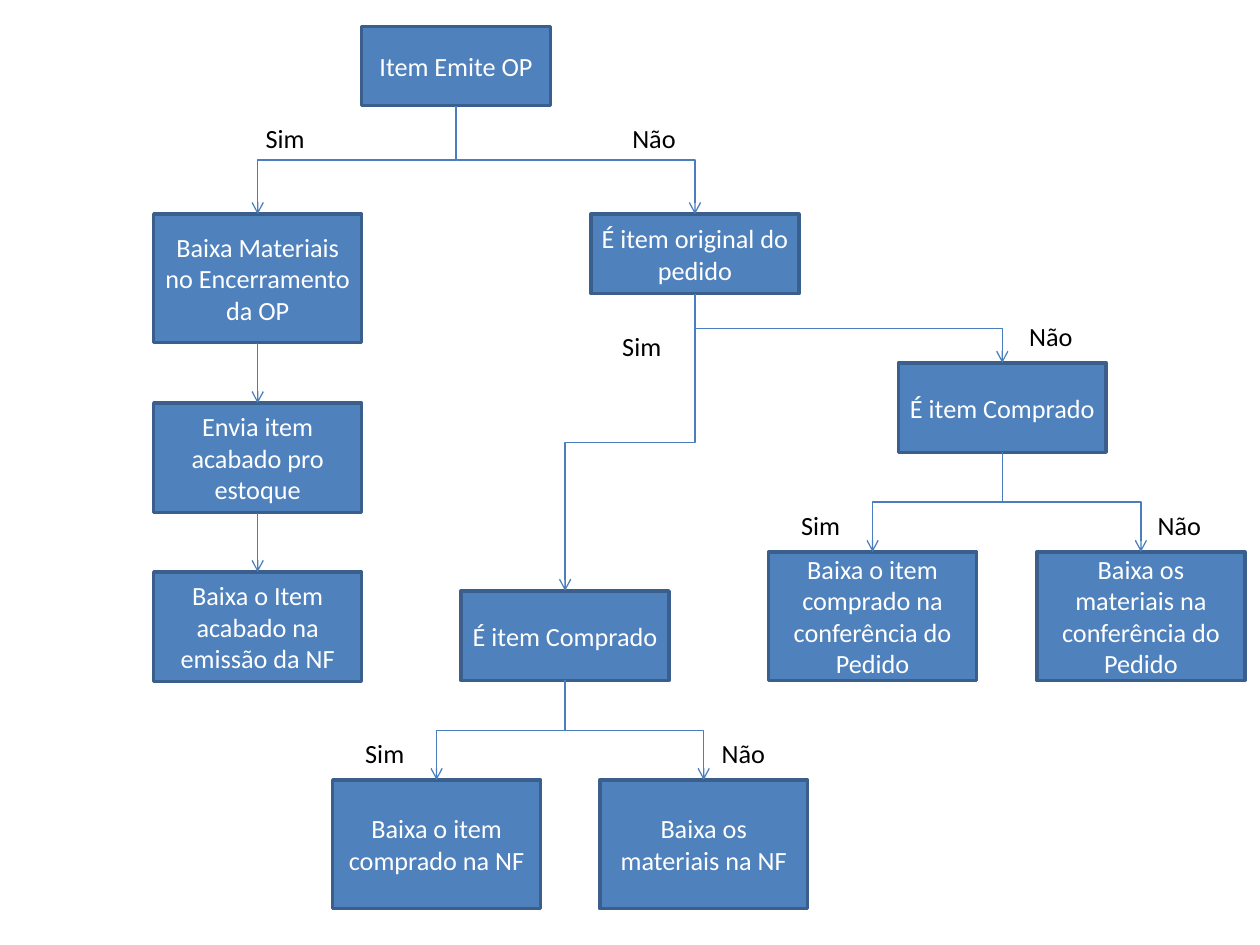
from dataclasses import dataclass

from lxml import etree
from pptx import Presentation
from pptx.dml.color import RGBColor
from pptx.enum.shapes import MSO_AUTO_SHAPE_TYPE, MSO_CONNECTOR
from pptx.enum.text import MSO_ANCHOR, MSO_AUTO_SIZE, PP_ALIGN
from pptx.oxml.ns import qn
from pptx.util import Inches, Pt

RECTANGLE = MSO_AUTO_SHAPE_TYPE.RECTANGLE
STRAIGHT, ELBOW = MSO_CONNECTOR.STRAIGHT, MSO_CONNECTOR.ELBOW
MIDDLE, CENTER, LEFT = MSO_ANCHOR.MIDDLE, PP_ALIGN.CENTER, PP_ALIGN.LEFT
TOP_SITE, BOTTOM_SITE = 0, 2

BOX_FILL = RGBColor(0x4F, 0x81, 0xBD)
BOX_LINE = RGBColor(0x3A, 0x5F, 0x8C)
ARROW_LINE = RGBColor(0x4B, 0x7E, 0xBC)
WHITE = RGBColor(0xFF, 0xFF, 0xFF)
BLACK = RGBColor(0x00, 0x00, 0x00)

BOX_WIDTH = 1.65
LABEL_HEIGHT = 0.35
BOX_FRAME = {"word_wrap": True, "vertical_anchor": MIDDLE,
             "margin_left": Inches(0.08), "margin_right": Inches(0.08)}
LABEL_FRAME = {"word_wrap": True, "auto_size": MSO_AUTO_SIZE.SHAPE_TO_FIT_TEXT}
FONT = {"name": "Calibri", "size": Pt(15)}


@dataclass
class Box:
    text: str
    left: float
    top: float
    height: float
    width: float = BOX_WIDTH


@dataclass
class Label:
    text: str
    left: float
    top: float
    width: float = 0.63


BOXES = {
    "emits order": Box("Item Emite OP", 2.87, 0.21, 0.63, 1.5),
    "close order": Box("Baixa Materiais no Encerramento da OP", 1.22, 1.7, 1.02),
    "to stock": Box("Envia item acabado pro estoque", 1.22, 3.2, 0.87),
    "finished item": Box("Baixa o Item acabado na emissão da NF", 1.22, 4.54, 0.87),
    "original item": Box("É item original do pedido", 4.69, 1.7, 0.63),
    "bought, original": Box("É item Comprado", 3.66, 4.69, 0.71),
    "item on invoice": Box("Baixa o item comprado na NF", 2.64, 6.19, 1.02),
    "materials on invoice": Box("Baixa os materiais na NF", 4.76, 6.19, 1.02),
    "bought, other": Box("É item Comprado", 7.13, 2.88, 0.71),
    "item on check": Box("Baixa o item comprado na conferência do Pedido",
                         6.1, 4.38, 1.02),
    "materials on check": Box("Baixa os materiais na conferência do Pedido",
                              8.23, 4.38, 1.02),
}

# Each box and the boxes that follow it
FLOW = {
    "emits order": ("close order", "original item"),
    "close order": ("to stock",),
    "to stock": ("finished item",),
    "original item": ("bought, original", "bought, other"),
    "bought, original": ("item on invoice", "materials on invoice"),
    "bought, other": ("item on check", "materials on check"),
}

LABELS = [
    Label("Sim", 2.01, 0.92), Label("Não", 4.92, 0.92),
    Label("Sim", 4.84, 2.57), Label("Não", 8.07, 2.49),
    Label("Sim", 6.26, 3.99, 0.55), Label("Não", 9.09, 3.99),
    Label("Sim", 2.8, 5.8, 0.55), Label("Não", 5.63, 5.8),
]


def set_format(target, values: dict) -> None:
    for name, value in values.items():
        setattr(target, name, value)


def write_text(shape, text: str, frame: dict, color: RGBColor, alignment) -> None:
    set_format(shape.text_frame, frame)
    paragraph = shape.text_frame.paragraphs[0]
    paragraph.alignment = alignment
    run = paragraph.add_run()
    run.text = text
    set_format(run.font, FONT)
    run.font.color.rgb = color


def draw_box(slide, box: Box):
    shape = slide.shapes.add_shape(RECTANGLE, Inches(box.left), Inches(box.top),
                                   Inches(box.width), Inches(box.height))
    shape.shadow.inherit = False
    shape.fill.solid()
    shape.fill.fore_color.rgb = BOX_FILL
    shape.line.color.rgb = BOX_LINE
    shape.line.width = Pt(2)
    write_text(shape, box.text, BOX_FRAME, WHITE, CENTER)
    return shape


def draw_label(slide, label: Label) -> None:
    text_box = slide.shapes.add_textbox(Inches(label.left), Inches(label.top),
                                        Inches(label.width), Inches(LABEL_HEIGHT))
    write_text(text_box, label.text, LABEL_FRAME, BLACK, LEFT)


def turn_elbow(connector, start_x: int, start_y: int, end_x: int, end_y: int) -> None:
    """Turn an elbow so that it leaves and arrives vertically."""
    length, breadth = end_y - start_y, abs(end_x - start_x)
    set_format(connector, {
        "left": (start_x + end_x - length) // 2,
        "top": (start_y + end_y - breadth) // 2,
        "width": length,
        "height": breadth,
    })
    to_right = end_x > start_x
    set_format(connector._element.spPr.xfrm, {
        "rot": 270.0 if to_right else 90.0, "flipH": to_right, "flipV": False})


def draw_arrow(slide, source, target) -> None:
    start_x, start_y = source.left + source.width // 2, source.top + source.height
    end_x, end_y = target.left + target.width // 2, target.top
    kind = STRAIGHT if start_x == end_x else ELBOW
    connector = slide.shapes.add_connector(kind, start_x, start_y, end_x, end_y)
    connector.begin_connect(source, BOTTOM_SITE)
    connector.end_connect(target, TOP_SITE)
    if kind == ELBOW:
        turn_elbow(connector, start_x, start_y, end_x, end_y)
    connector.line.color.rgb = ARROW_LINE
    connector.line.width = Pt(0.75)
    # Open arrowhead, no shadow
    properties = connector._element.spPr
    etree.SubElement(properties.find(qn("a:ln")), qn("a:tailEnd"), type="arrow")
    etree.SubElement(properties, qn("a:effectLst"))


def main() -> None:
    presentation = Presentation()
    presentation.slide_width = Inches(10)
    presentation.slide_height = Inches(7.5)
    slide = presentation.slides.add_slide(presentation.slide_layouts[6])

    # Steps and decisions
    shapes = {name: draw_box(slide, box) for name, box in BOXES.items()}

    # Arrows between them
    for source, targets in FLOW.items():
        for target in targets:
            draw_arrow(slide, shapes[source], shapes[target])

    # Answers beside the arrows
    for label in LABELS:
        draw_label(slide, label)

    presentation.save("out.pptx")


if __name__ == "__main__":
    main()
